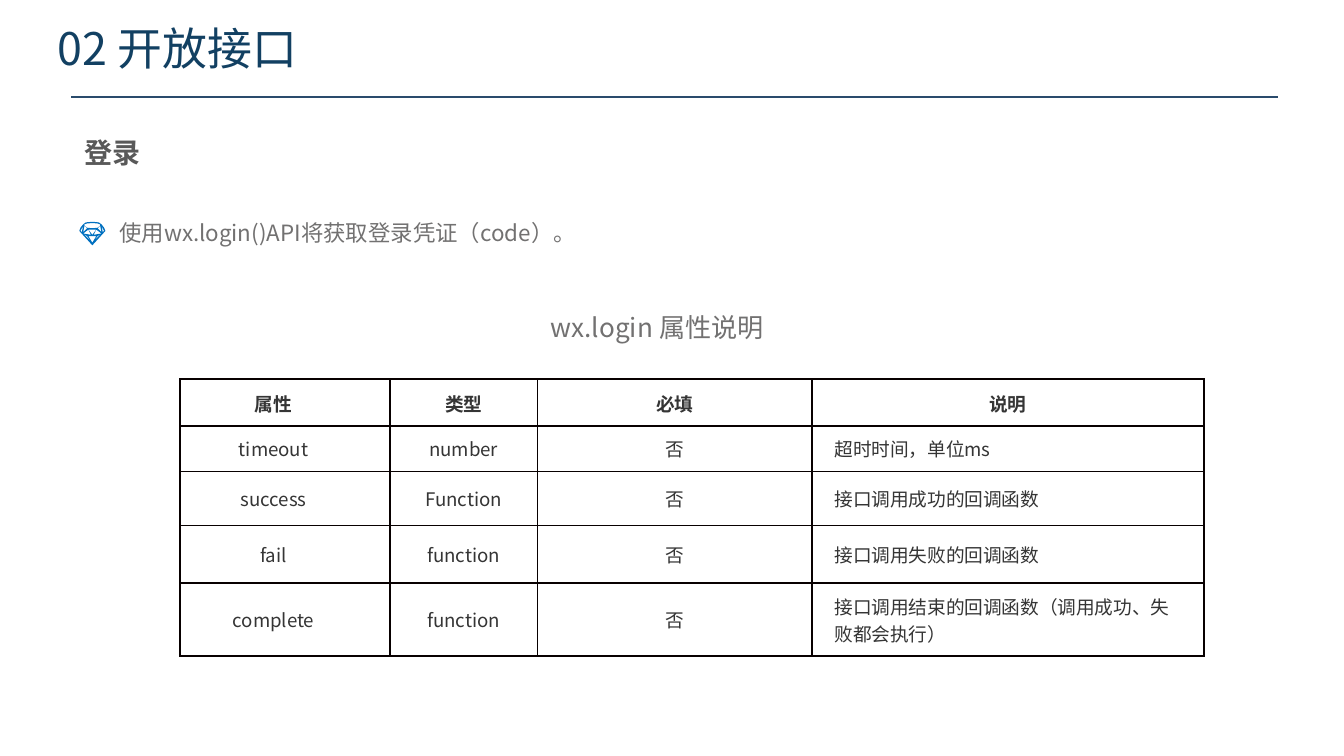
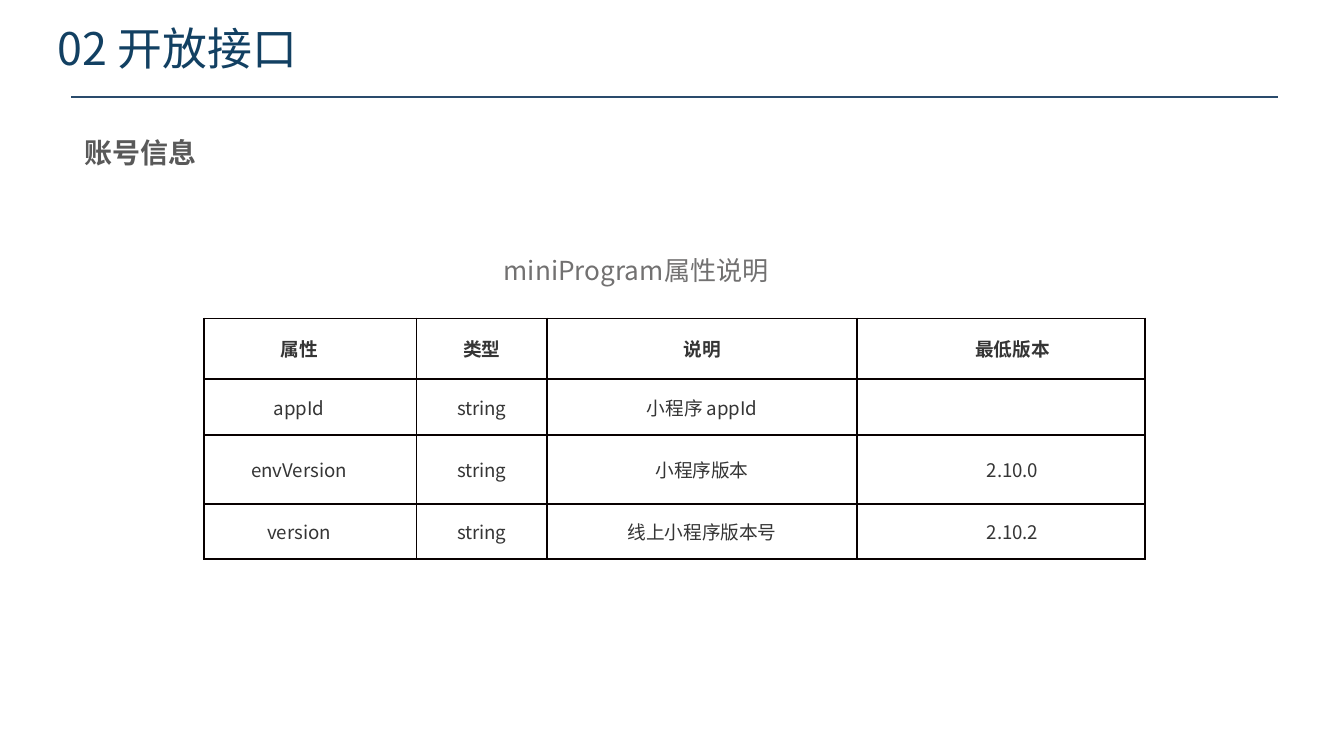
import pptx
import pptx.util
import pptx.dml.color
import pptx.enum.shapes
import pptx.enum.text
import pptx.oxml
import pptx.oxml.ns

Pt = pptx.util.Pt
RGB = pptx.dml.color.RGBColor
ALIGN = pptx.enum.text.PP_ALIGN
ANCHOR = pptx.enum.text.MSO_ANCHOR

# Shared look
FACE = "Noto Sans CJK SC"
NAVY = RGB(0x12, 0x40, 0x62)
RULE = RGB(0x2A, 0x4B, 0x6C)
HEAD = RGB(0x59, 0x59, 0x59)
GREY = RGB(0x72, 0x71, 0x71)
INK = RGB(0x35, 0x35, 0x35)
EDGE = RGB(0x08, 0x00, 0x00)
BLUE = RGB(0x00, 0x70, 0xC0)
PAD = (7.2, 3.6, 7.2, 3.6)

# Gem on a 20 x 18 grid: rim, middle facets, and right facets to be mirrored
RIM = [(17, 2), (15, 0.5), (10, 0), (5, 0.5), (3, 2), (1, 4.5), (0, 7),
       (10, 18), (20, 7), (19, 4.5)]
INNER = [
    [(16, 3), (14, 4.6), (10, 5), (6, 4.6), (4, 3), (4, 2), (6, 1.3),
     (10, 1), (14, 1.3), (16, 2)],
    [(13, 6), (10, 10), (7, 6)],
    [(10, 11), (13, 11), (10, 16), (7, 11)],
]
RIGHT = [
    [(17, 8), (14, 5), (16, 3)],
    [(11, 10), (13, 6), (17, 9)],
    [(19, 7), (18, 8), (17, 3)],
    [(11, 15), (14, 11), (17, 9)],
]


def style(para, size, color, bold=False, align=ALIGN.LEFT):
    para.alignment = align
    font = para.font
    font.size, font.bold, font.name = Pt(size), bold, FACE
    font.color.rgb = color
    east = pptx.oxml.parse_xml(
        f'<a:ea {pptx.oxml.ns.nsdecls("a")} typeface="{FACE}"/>')
    para._p.pPr.find(pptx.oxml.ns.qn("a:defRPr")).append(east)


def inset(item, pad):
    (item.margin_left, item.margin_top,
     item.margin_right, item.margin_bottom) = map(Pt, pad)


def label(slide, box, text, size, color, bold=False, pad=PAD, lead=None):
    frame = slide.shapes.add_textbox(*map(Pt, box)).text_frame
    frame.word_wrap = True
    inset(frame, pad)
    para = frame.paragraphs[0]
    para.text = text
    style(para, size, color, bold)
    if lead:
        para.line_spacing = lead


def header(slide, topic):
    """Title, rule and topic heading."""
    title = slide.shapes.title
    title.left, title.top, title.width, title.height = map(
        Pt, (23.8, 10.8, 620.6, 33.1))
    frame = title.text_frame
    frame.vertical_anchor = ANCHOR.MIDDLE
    inset(frame, PAD)
    para = frame.paragraphs[0]
    para.text = "02 开放接口"
    style(para, 24, NAVY)
    para.line_spacing = 0.9

    rule = slide.shapes.add_connector(
        pptx.enum.shapes.MSO_CONNECTOR.STRAIGHT,
        Pt(38.2), Pt(51.8), Pt(684.7), Pt(51.8))
    rule.line.color.rgb = RULE
    rule.line.width = Pt(1.25)
    rule._element.spPr.append(pptx.oxml.parse_xml(
        f'<a:effectLst {pptx.oxml.ns.nsdecls("a")}/>'))

    label(slide, (40.3, 69.8, 189.4, 23.8), topic, 15, HEAD, True,
          pad=(5, 2.9, 5, 2.9))


def gem(slide, left, top):
    left_side = [[(20 - x, y) for x, y in cut] for cut in RIGHT]
    pen = None
    for loop in [RIM] + INNER + RIGHT + left_side:
        dots = [(round(x * 10), round(y * 10)) for x, y in loop]
        if pen is None:
            pen = slide.shapes.build_freeform(*dots[0], scale=Pt(0.07))
        else:
            pen.move_to(*dots[0])
        pen.add_line_segments(dots[1:], close=True)
    shape = pen.convert_to_shape(Pt(left), Pt(top))
    shape.shadow.inherit = False
    shape.fill.solid()
    shape.fill.fore_color.rgb = BLUE
    shape.line.fill.background()


def bullet(slide, box, text):
    """Gem mark followed by one line of text."""
    left, top, width, height = box
    gem(slide, left, top + 7.9)
    label(slide, (left + 14.4, top, width - 14.4, height), text, 12, GREY,
          lead=1.2)


def edges(cell):
    props = cell._tc.get_or_add_tcPr()
    for side in "LRTB":
        props.append(pptx.oxml.parse_xml(
            f'<a:ln{side} {pptx.oxml.ns.nsdecls("a")} w="{Pt(1)}">'
            f'<a:solidFill><a:srgbClr val="{EDGE}"/></a:solidFill>'
            f'</a:ln{side}>'))


def grid(slide, left, top, cols, rows, data, last_pad=12.2,
         last_align=ALIGN.CENTER):
    """Ruled table whose last column may differ in margin and alignment."""
    table = slide.shapes.add_table(
        len(rows), len(cols), Pt(left), Pt(top),
        Pt(sum(cols)), Pt(sum(rows))).table
    table.first_row = table.horz_banding = False
    for col, width in zip(table.columns, cols):
        col.width = Pt(width)
    end = len(cols) - 1
    for r, (high, texts) in enumerate(zip(rows, data)):
        table.rows[r].height = Pt(high)
        gap = 0 if r else 5.8
        for c, text in enumerate(texts):
            cell = table.cell(r, c)
            edges(cell)
            cell.fill.background()
            cell.vertical_anchor = ANCHOR.MIDDLE
            inset(cell, (12.2 if c else 0, gap,
                         last_pad if c == end else 12.2, gap))
            para = cell.text_frame.paragraphs[0]
            if text:
                para.text = text
            style(para, 10, INK, r == 0,
                  last_align if r and c == end else ALIGN.CENTER)


def login(slide):
    header(slide, "登录")
    bullet(slide, (42.5, 110.9, 645.1, 24.5),
           "使用wx.login()API将获取登录凭证（code）。")
    label(slide, (288, 163.4, 154.1, 24.5), "wx.login 属性说明", 14, GREY)
    grid(slide, 96.5, 203, (112.3, 79.2, 146.9, 210.2),
         (25.2, 24.5, 28.8, 31, 38.9), [
             ("属性", "类型", "必填", "说明"),
             ("timeout", "number", "否", "超时时间，单位ms"),
             ("success", "Function", "否", "接口调用成功的回调函数"),
             ("fail", "function", "否", "接口调用失败的回调函数"),
             ("complete", "function", "否",
              "接口调用结束的回调函数（调用成功、失败都会执行）"),
         ], last_align=ALIGN.LEFT)


def account(slide):
    header(slide, "账号信息")
    label(slide, (262.8, 132.5, 332.6, 24.5), "miniProgram属性说明", 14, GREY)
    grid(slide, 109.4, 170.6, (113.8, 69.8, 166.3, 154.1),
         (32.4, 30.2, 36.7, 29.5), [
             ("属性", "类型", "说明", "最低版本"),
             ("appId", "string", "小程序 appId", ""),
             ("envVersion", "string", "小程序版本", "2.10.0"),
             ("version", "string", "线上小程序版本号", "2.10.2"),
         ], last_pad=0)


def main():
    deck = pptx.Presentation()
    deck.slide_width, deck.slide_height = Pt(720), Pt(405)
    for build in (login, account):
        build(deck.slides.add_slide(deck.slide_layouts[5]))
    deck.save("out.pptx")


if __name__ == "__main__":
    main()
